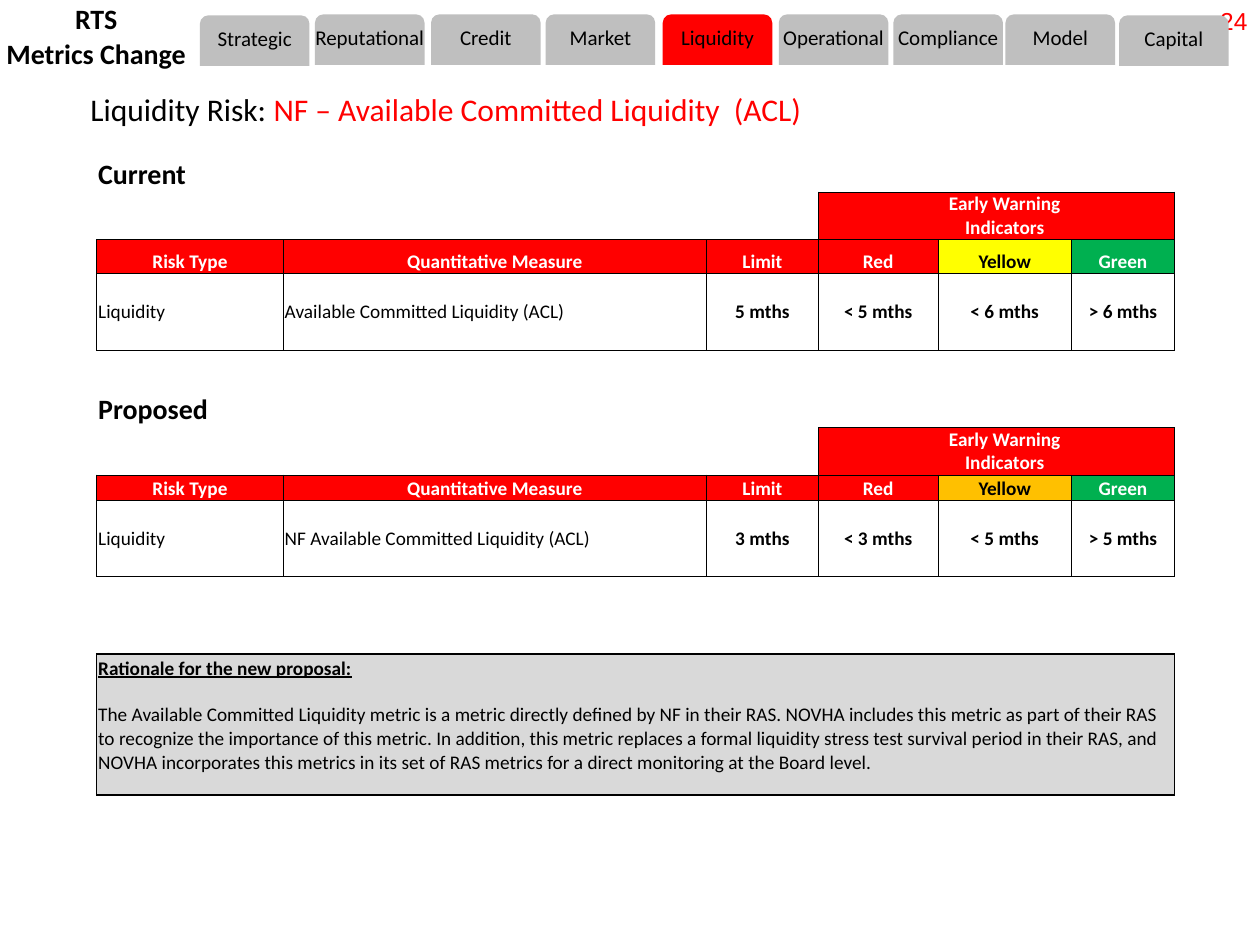
from lxml import etree
from pptx import Presentation
from pptx.dml.color import RGBColor
from pptx.enum.shapes import MSO_SHAPE
from pptx.enum.text import MSO_ANCHOR, PP_ALIGN
from pptx.oxml.ns import qn
from pptx.util import Cm, Pt

LEFT, CENTER, RIGHT = PP_ALIGN.LEFT, PP_ALIGN.CENTER, PP_ALIGN.RIGHT
MIDDLE, BOTTOM = MSO_ANCHOR.MIDDLE, MSO_ANCHOR.BOTTOM
ROUNDED, TAB = MSO_SHAPE.ROUNDED_RECTANGLE, MSO_SHAPE.ROUND_2_SAME_RECTANGLE

BLACK, WHITE, RED = "000000", "FFFFFF", "FF0000"
YELLOW, AMBER, GREEN = "FFFF00", "FFC000", "00B050"
TAB_GREY, RATIONALE_GREY = "BFBFBF", "D9D9D9"
NO_STYLE_NO_GRID = "{2D5ABB26-0587-4C30-8999-92F81FD0307C}"

RISK_TABS = [  # label, left, top
    ("Strategic", 4.03, 0.31), ("Reputational", 6.35, 0.29),
    ("Credit", 8.69, 0.29), ("Market", 11, 0.29),
    ("Liquidity", 13.36, 0.29), ("Operational", 15.7, 0.29),
    ("Compliance", 18.01, 0.29), ("Model", 20.27, 0.29),
    ("Capital", 22.56, 0.31),
]
ACTIVE_TAB = "Liquidity"

COLUMN_WIDTHS = [3.76, 8.53, 2.26, 2.41, 2.69, 2.08]
ROW_HEIGHTS = [0.78, 0.95, 0.69, 1.54, 0.78,
               0.78, 0.95, 0.51, 1.54, 0.78,
               0.78, 0.58, 2.26, 0.86]
HEADERS = ["Risk Type", "Quantitative Measure", "Limit", "Red", "Yellow", "Green"]
CURRENT = ["Liquidity", "Available Committed Liquidity (ACL)",
           "5 mths", "< 5 mths", "< 6 mths", "> 6 mths"]
PROPOSED = ["Liquidity", "NF Available Committed Liquidity (ACL)",
            "3 mths", "< 3 mths", "< 5 mths", "> 5 mths"]
RATIONALE_ROW = 11
RATIONALE = (
    "The Available Committed Liquidity metric is a metric directly defined by NF "
    "in their RAS. NOVHA includes this metric as part of their RAS to recognize "
    "the importance of this metric. In addition, this metric replaces a formal "
    "liquidity stress test survival period in their RAS, and NOVHA incorporates "
    "this metrics in its set of RAS metrics for a direct monitoring at the Board level."
)


def rgb(value):
    return RGBColor.from_string(value)


def set_font(font, size, color=BLACK, bold=False, name="Calibri"):
    font.name, font.size, font.bold = name, Pt(size), bold
    font.color.rgb = rgb(color)


def add_title(slide):
    title = slide.shapes.title
    title.left, title.top, title.width, title.height = (
        Cm(1.57), Cm(1.69), Cm(15.98), Cm(1.02))
    title.text_frame.vertical_anchor = MIDDLE
    title.text_frame.word_wrap = True
    paragraph = title.text_frame.paragraphs[0]
    paragraph.alignment = LEFT
    for text, color in (("Liquidity Risk: ", BLACK),
                        ("NF – Available Committed Liquidity  (ACL)", RED)):
        run = paragraph.add_run()
        run.text = text
        set_font(run.font, 18, color)


def add_page_number(slide):
    box = slide.shapes.add_textbox(Cm(24.33), Cm(0), Cm(1.07), Cm(1.07))
    box.text_frame.word_wrap = False
    paragraph = box.text_frame.paragraphs[0]
    paragraph.text = "24"
    paragraph.alignment = RIGHT
    set_font(paragraph.font, 14, RED, name="Arial")


def add_label(slide, kind, box, lines, size, fill=None, bold=False):
    label = slide.shapes.add_shape(kind, *(Cm(length) for length in box))
    label.shadow.inherit = False
    label.line.fill.background()
    if fill:
        label.fill.solid()
        label.fill.fore_color.rgb = rgb(fill)
    else:
        label.fill.background()
    frame = label.text_frame
    frame.word_wrap = False
    frame.vertical_anchor = MIDDLE
    frame.text = "\n".join(lines)
    for index, paragraph in enumerate(frame.paragraphs):
        paragraph.alignment = CENTER
        paragraph.line_spacing = Pt(10)
        if index:
            paragraph.space_before = Pt(10)
        set_font(paragraph.font, size, bold=bold)


def set_borders(cell, sides, width):
    """Draw black borders on the sides named by L, R, T and B; clear the others."""
    properties = cell._tc.get_or_add_tcPr()
    for index, side in enumerate("LRTB"):
        line = etree.Element(qn(f"a:ln{side}"), w=str(Pt(width)))
        if side in sides:
            fill = etree.SubElement(line, qn("a:solidFill"))
            etree.SubElement(fill, qn("a:srgbClr"), val=BLACK)
        else:
            etree.SubElement(line, qn("a:noFill"))
        properties.insert(index, line)


def fill_cell(cell, text="", size=11, color=BLACK, bold=False, align=LEFT,
              anchor=MIDDLE, fill=None, sides="", width=0.5):
    cell.vertical_anchor = anchor
    if fill:
        cell.fill.solid()
        cell.fill.fore_color.rgb = rgb(fill)
    set_borders(cell, sides, width)
    if text:
        paragraph = cell.text_frame.paragraphs[0]
        paragraph.text = text
        paragraph.alignment = align
        set_font(paragraph.font, size, color, bold)


def fill_metric_block(table, top, heading, values, yellow):
    """Fill heading, indicator band, column headers and values from row top."""
    fill_cell(table.cell(top, 0), heading, 16, bold=True, anchor=BOTTOM)
    band = (("", "LTB"), ("Early Warning Indicators", "TB"), ("", "RTB"))
    for column, (text, sides) in enumerate(band, start=3):
        fill_cell(table.cell(top + 1, column), text, color=WHITE, bold=True,
                  align=CENTER, anchor=BOTTOM, fill=RED, sides=sides)
    fills = [RED] * 4 + [yellow, GREEN]
    for column, (header, fill, value) in enumerate(zip(HEADERS, fills, values)):
        fill_cell(table.cell(top + 2, column), header,
                  color=BLACK if fill == yellow else WHITE, bold=True,
                  align=CENTER, anchor=BOTTOM, fill=fill, sides="LRTB")
        is_threshold = column >= 2
        fill_cell(table.cell(top + 3, column), value, bold=is_threshold,
                  align=CENTER if is_threshold else LEFT, sides="LRTB")


def fill_rationale(table):
    last = len(COLUMN_WIDTHS) - 1
    for row in range(RATIONALE_ROW, len(ROW_HEIGHTS)):
        table.cell(row, 0).merge(table.cell(row, last))
    texts = ("Rationale for the new proposal:", RATIONALE)
    for offset, (text, edge) in enumerate(zip(texts, "TB")):
        for column in range(last + 1):
            sides = edge + {0: "LR", last: "R"}.get(column, "")
            fill_cell(table.cell(RATIONALE_ROW + offset, column),
                      "" if column else text, bold=offset == 0,
                      fill=RATIONALE_GREY, sides=sides, width=1)
    heading = table.cell(RATIONALE_ROW, 0).text_frame.paragraphs[0]
    heading.font.underline = True


def add_metrics_table(slide):
    table = slide.shapes.add_table(
        len(ROW_HEIGHTS), len(COLUMN_WIDTHS), Cm(1.95), Cm(3.09),
        Cm(sum(COLUMN_WIDTHS)), Cm(sum(ROW_HEIGHTS))).table
    table.first_row = table.horz_banding = False
    table._tbl.tblPr.find(qn("a:tableStyleId")).text = NO_STYLE_NO_GRID
    for column, width in zip(table.columns, COLUMN_WIDTHS):
        column.width = Cm(width)
    for row, height in zip(table.rows, ROW_HEIGHTS):
        row.height = Cm(height)
    for cell in table.iter_cells():
        cell.margin_left = cell.margin_right = Cm(0.03)
        cell.margin_top = cell.margin_bottom = 0
    fill_metric_block(table, 0, "Current", CURRENT, YELLOW)
    fill_metric_block(table, 5, "Proposed", PROPOSED, AMBER)
    fill_rationale(table)


def main():
    presentation = Presentation()
    presentation.slide_width, presentation.slide_height = Cm(25.4), Cm(19.05)
    slide = presentation.slides.add_slide(presentation.slide_layouts[5])
    add_title(slide)
    add_metrics_table(slide)
    add_page_number(slide)
    add_label(slide, ROUNDED, (-0.13, 0.06, 4.14, 1.65),
              ["RTS", "Metrics Change"], 16, bold=True)
    for name, left, top in RISK_TABS:
        add_label(slide, TAB, (left, top, 2.21, 1.02), [name], 12,
                  fill=RED if name == ACTIVE_TAB else TAB_GREY)
    presentation.save("out.pptx")


if __name__ == "__main__":
    main()
